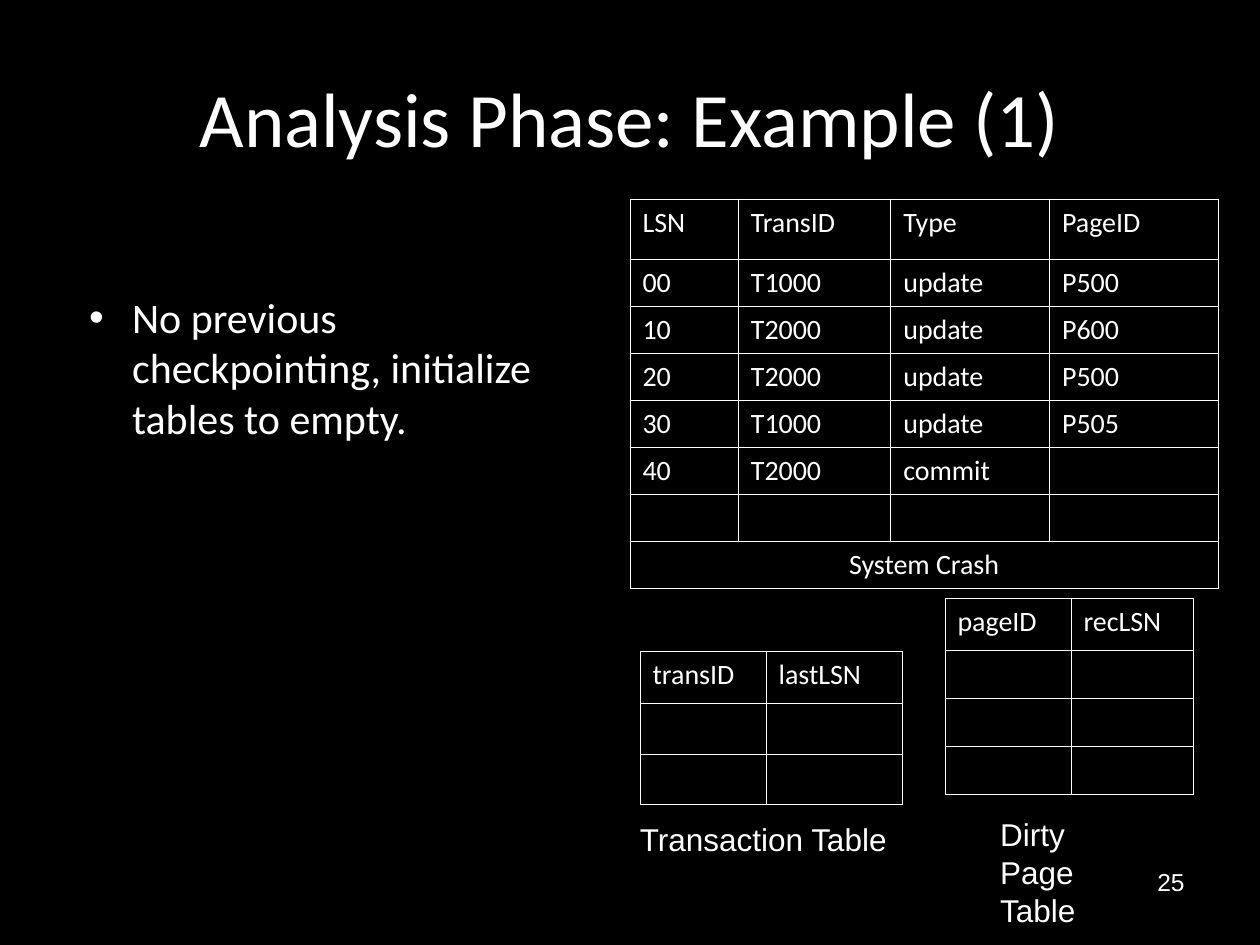
import lxml.etree
import pptx
import pptx.dml.color
import pptx.enum.text
import pptx.oxml.ns
import pptx.util

WHITE, BLACK = "FFFFFF", "000000"
LEFT, CENTER, RIGHT = (
    pptx.enum.text.PP_ALIGN.LEFT,
    pptx.enum.text.PP_ALIGN.CENTER,
    pptx.enum.text.PP_ALIGN.RIGHT,
)


def color(hex_string):
    return pptx.dml.color.RGBColor.from_string(hex_string)


def write(frame, text, size=16, font="Calibri", align=LEFT, bullet=False):
    """Fill a text frame, one paragraph for each line of text."""
    for number, line in enumerate(text.split("\n")):
        paragraph = frame.add_paragraph() if number else frame.paragraphs[0]
        paragraph.alignment = align
        if bullet:
            properties = paragraph._p.get_or_add_pPr()
            properties.set("marL", str(pptx.util.Inches(0.45)))
            properties.set("indent", str(pptx.util.Inches(-0.34)))
            lxml.etree.SubElement(properties, pptx.oxml.ns.qn("a:buFont"), typeface="Arial")
            lxml.etree.SubElement(properties, pptx.oxml.ns.qn("a:buChar"), char="•")
        run = paragraph.add_run()
        run.text = line
        run.font.size = pptx.util.Pt(size)
        run.font.name = font
        run.font.color.rgb = color(WHITE)


presentation = pptx.Presentation()
presentation.slide_width = pptx.util.Inches(10)
presentation.slide_height = pptx.util.Inches(7.5)
# The grid has 100 columns and 100 rows
column = presentation.slide_width / 100
row = presentation.slide_height / 100

slide = presentation.slides.add_slide(presentation.slide_layouts[5])
slide.background.fill.solid()
slide.background.fill.fore_color.rgb = color(BLACK)

# Texts: left and width in columns, top and height in rows
texts = [
    ("Analysis Phase: Example (1)", (5, 4, 90, 16.67), True,
     dict(size=44, align=CENTER)),
    ("No previous checkpointing, initialize tables to empty.", (5, 30.2, 40.8, 59), True,
     dict(size=24, bullet=True)),
    ("Transaction Table", (49.8, 86.13, 22, 5.33), False, dict(size=18, font="Arial")),
    ("Dirty Page\nTable", (78.4, 85.6, 13.6, 9.33), False, dict(size=18, font="Arial")),
    ("25", (71.7, 91.07, 23.3, 6.93), True, dict(size=14, font="Arial", align=RIGHT)),
]
for number, (text, (left, top, width, height), wrap, text_format) in enumerate(texts):
    shape = slide.shapes.add_textbox(0, 0, 0, 0) if number else slide.shapes.title
    shape.left, shape.width = int(left * column), int(width * column)
    shape.top, shape.height = int(top * row), int(height * row)
    shape.text_frame.word_wrap = wrap
    if shape == slide.shapes.title:
        shape.text_frame.vertical_anchor = pptx.enum.text.MSO_ANCHOR.MIDDLE
    write(shape.text_frame, text, **text_format)

log_records = [
    ["LSN", "TransID", "Type", "PageID"],
    ["00", "T1000", "update", "P500"],
    ["10", "T2000", "update", "P600"],
    ["20", "T2000", "update", "P500"],
    ["30", "T1000", "update", "P505"],
    ["40", "T2000", "commit", ""],
    [""] * 4,
    ["System Crash", "", "", ""],
]
dirty_pages = [["pageID", "recLSN"]] + [["", ""]] * 3
transactions = [["transID", "lastLSN"]] + [["", ""]] * 2

# Tables: left, top, column widths, header height, height of the other rows
tables = [
    (log_records, 50, 21.07, [8.6, 12.1, 12.6, 13.4], 6.4, 4.98),
    (dirty_pages, 75, 63.33, [10, 9.7], 5.5, 5.08),
    (transactions, 50.8, 68.93, [10, 10.8], 5.5, 5.35),
]
for records, left, top, widths, header_height, row_height in tables:
    heights = [header_height] + [row_height] * (len(records) - 1)
    table = slide.shapes.add_table(
        len(records), len(widths), int(left * column), int(top * row),
        int(sum(widths) * column), int(sum(heights) * row)).table
    table.first_row = table.horz_banding = False
    for table_column, width in zip(table.columns, widths):
        table_column.width = int(width * column)
    for table_row, height, record in zip(table.rows, heights, records):
        table_row.height = int(height * row)
        for cell, text in zip(table_row.cells, record):
            cell.fill.solid()
            cell.fill.fore_color.rgb = color(BLACK)
            for position, side in enumerate(["lnL", "lnR", "lnT", "lnB"]):
                border = lxml.etree.Element(
                    pptx.oxml.ns.qn("a:" + side), w=str(pptx.util.Pt(0.45)))
                fill = lxml.etree.SubElement(border, pptx.oxml.ns.qn("a:solidFill"))
                lxml.etree.SubElement(fill, pptx.oxml.ns.qn("a:srgbClr"), val=WHITE)
                cell._tc.get_or_add_tcPr().insert(position, border)
            if text:
                write(cell.text_frame, text, align=CENTER if text == "System Crash" else LEFT)
            else:
                cell.margin_top = cell.margin_bottom = 0
    if records is log_records:
        table.cell(len(records) - 1, 0).merge(table.cell(len(records) - 1, len(widths) - 1))

presentation.save("out.pptx")
